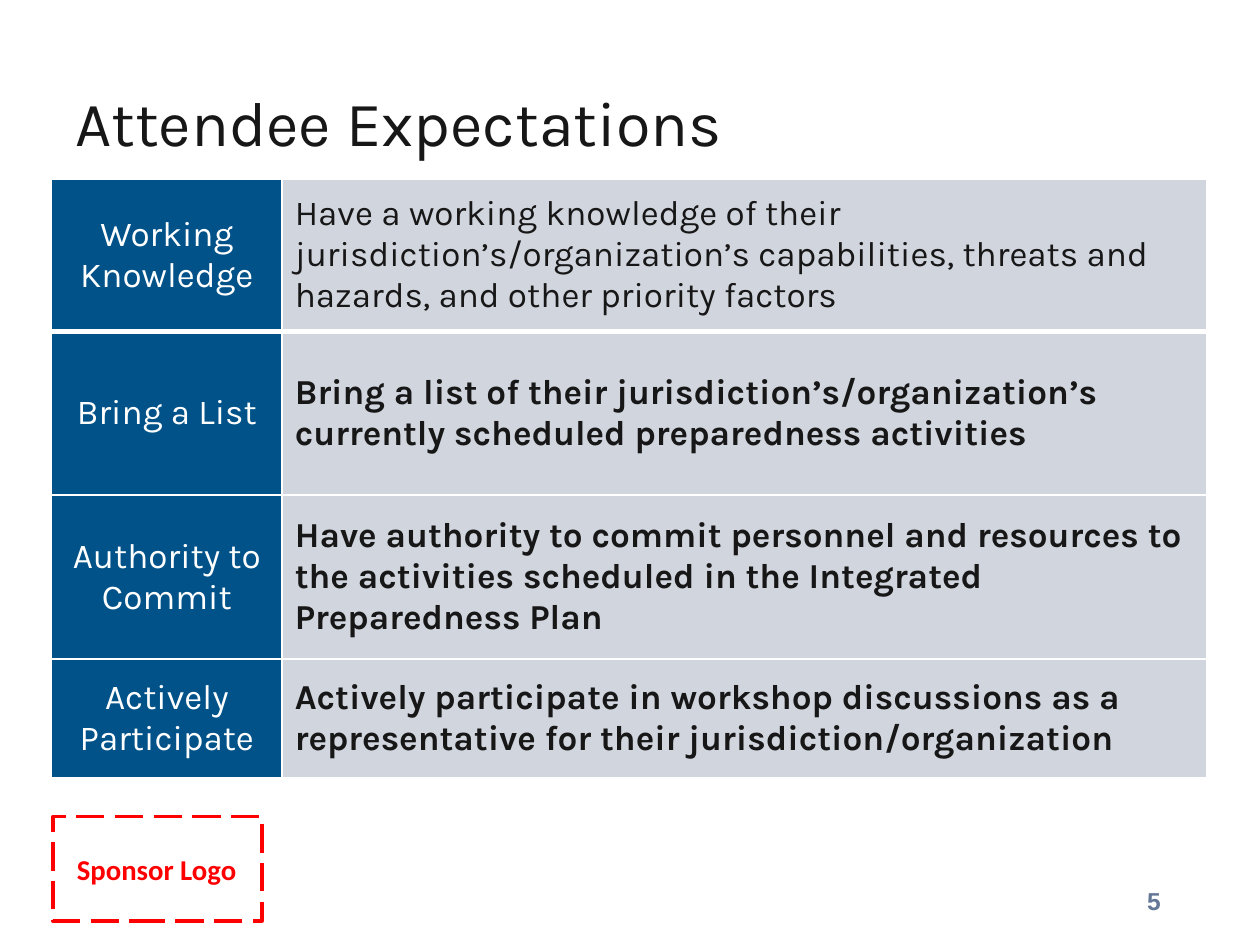
import pptx
import pptx.dml.color
import pptx.enum.dml
import pptx.enum.shapes
import pptx.enum.text
import pptx.oxml
import pptx.oxml.ns
import pptx.util

Inches = pptx.util.Inches
Pt = pptx.util.Pt
RGBColor = pptx.dml.color.RGBColor
PP_ALIGN = pptx.enum.text.PP_ALIGN
MIDDLE = pptx.enum.text.MSO_ANCHOR.MIDDLE

INK = RGBColor(0x18, 0x17, 0x17)
WHITE = RGBColor(0xFF, 0xFF, 0xFF)
BLUE = RGBColor(0x00, 0x52, 0x88)
GREY = RGBColor(0xD0, 0xD5, 0xDE)
SLATE = RGBColor(0x64, 0x77, 0x96)
RED = RGBColor(0xFF, 0x00, 0x00)

EXPECTATIONS = [
    ("Working Knowledge",
     "Have a working knowledge of their jurisdiction’s/organization’s "
     "capabilities, threats and hazards, and other priority factors"),
    ("Bring a List",
     "Bring a list of their jurisdiction’s/organization’s currently "
     "scheduled preparedness activities"),
    ("Authority to Commit",
     "Have authority to commit personnel and resources to the activities "
     "scheduled in the Integrated Preparedness Plan"),
    ("Actively Participate",
     "Actively participate in workshop discussions as a representative "
     "for their jurisdiction/organization"),
]
COLUMN_WIDTHS = [1.83, 7.34]
ROW_HEIGHTS = [1.21, 1.3, 1.3, 0.94]


class SlideBuilder:
    font = "Karla"

    def __init__(self, slide):
        self.slide = slide

    def set_words(self, frame, words, size, color, bold=False, font=None,
                  align=PP_ALIGN.LEFT):
        frame.text = words
        frame.word_wrap = True
        paragraph = frame.paragraphs[0]
        paragraph.alignment = align
        style = paragraph.runs[0].font
        style.name = font or self.font
        style.size = Pt(size)
        style.bold = bold
        style.color.rgb = color

    def text(self, box, words, size, color, margins=(0.1, 0.05),
             anchor=MIDDLE, **style):
        frame = self.slide.shapes.add_textbox(*map(Inches, box)).text_frame
        frame.margin_left = frame.margin_right = Inches(margins[0])
        frame.margin_top = frame.margin_bottom = Inches(margins[1])
        frame.vertical_anchor = anchor
        self.set_words(frame, words, size, color, **style)

    def dashed_frame(self, box, color, width):
        frame = self.slide.shapes.add_shape(
            pptx.enum.shapes.MSO_SHAPE.RECTANGLE, *map(Inches, box))
        frame.shadow.inherit = False
        frame.fill.background()
        frame.line.color.rgb = color
        frame.line.width = Pt(width)
        frame.line.dash_style = pptx.enum.dml.MSO_LINE.LONG_DASH

    def border(self, cell, side, width, color):
        """Draw one side (L, R, T or B) of a cell; call before the fill."""
        cell._tc.get_or_add_tcPr().append(pptx.oxml.parse_xml(
            f'<a:ln{side} {pptx.oxml.ns.nsdecls("a")} w="{Pt(width)}">'
            f'<a:solidFill><a:srgbClr val="{color}"/></a:solidFill>'
            f'</a:ln{side}>'))

    def table(self, box, rows, widths, heights):
        table = self.slide.shapes.add_table(
            len(rows), len(widths), *map(Inches, box)).table
        table.first_row = table.horz_banding = False
        for column, width in zip(table.columns, widths):
            column.width = Inches(width)
        for index, (label, detail) in enumerate(rows):
            table.rows[index].height = Inches(heights[index])
            label_cell, detail_cell = table.cell(index, 0), table.cell(index, 1)
            for cell, fill in ((label_cell, BLUE), (detail_cell, GREY)):
                for side in "LRTB":
                    under_first = (index, side) in ((0, "B"), (1, "T"))
                    self.border(cell, side, 3 if under_first else 1, WHITE)
                cell.fill.solid()
                cell.fill.fore_color.rgb = fill
                cell.vertical_anchor = MIDDLE
            self.set_words(label_cell.text_frame, label, 20, WHITE,
                           align=PP_ALIGN.CENTER)
            self.set_words(detail_cell.text_frame, detail, 20, INK,
                           bold=index > 0)
            if index > 0:
                label_cell.margin_left = label_cell.margin_right = Inches(0.07)
                label_cell.margin_top = label_cell.margin_bottom = 0
                label_cell.text_frame.paragraphs[0].space_after = Pt(6)


def main():
    deck = pptx.Presentation()
    deck.slide_width, deck.slide_height = Inches(10), Inches(7.5)
    builder = SlideBuilder(deck.slides.add_slide(deck.slide_layouts[6]))

    builder.dashed_frame((0.42, 6.48, 1.66, 0.83), RED, 2)
    builder.text((0.61, 6.76, 1.43, 0.28), "Sponsor Logo", 16.4, RED,
                 margins=(0, 0), anchor=pptx.enum.text.MSO_ANCHOR.TOP,
                 bold=True, font="Calibri")
    builder.text((0.5, 0.35, 9.18, 1.23), "Attendee Expectations", 36, INK)
    builder.table((0.41, 1.42, 9.18, 4.75), EXPECTATIONS,
                  COLUMN_WIDTHS, ROW_HEIGHTS)
    builder.text((7.06, 6.95, 2.25, 0.4), "5", 14, SLATE, bold=True,
                 font="Arial", align=PP_ALIGN.RIGHT)

    deck.save("out.pptx")


if __name__ == "__main__":
    main()
